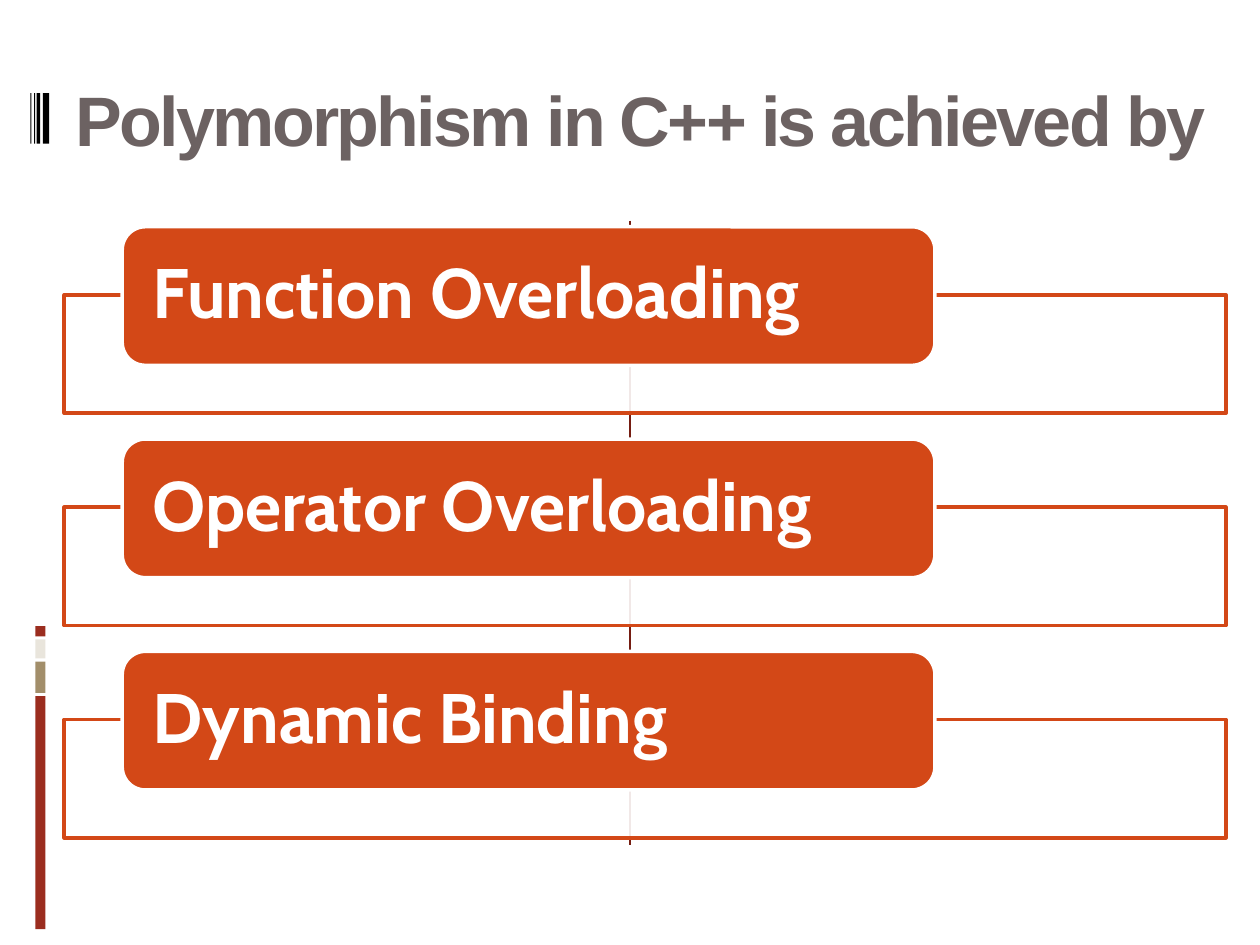
from dataclasses import dataclass

from lxml import etree
from pptx import Presentation
from pptx.dml.color import RGBColor
from pptx.enum.shapes import MSO_CONNECTOR, MSO_SHAPE
from pptx.enum.text import MSO_ANCHOR, PP_ALIGN
from pptx.oxml.ns import qn
from pptx.util import Inches, Length, Pt

RECTANGLE = MSO_SHAPE.RECTANGLE
ROUNDED = MSO_SHAPE.ROUNDED_RECTANGLE
STRAIGHT = MSO_CONNECTOR.STRAIGHT
MIDDLE = MSO_ANCHOR.MIDDLE
LEFT = PP_ALIGN.LEFT

# The slide is a grid of 100 columns by 75 rows with square cells
CELL = Inches(0.1)
COLUMNS, ROWS = 100, 75


@dataclass(frozen=True)
class Theme:
    title: str = "6C6262"
    accent: str = "D34817"
    white: str = "FFFFFF"
    black: str = "000000"
    red: str = "9B2D1F"
    tan: str = "A28E6A"
    cream: str = "E9E5DC"
    divider: str = "751D12"
    title_font: str = "Arial"
    label_font: str = "Cabin"
    text_size: int = 40
    border: float = 2
    hairline: float = 0.75


@dataclass(frozen=True)
class Box:
    """A place on the grid, in columns and rows."""
    left: float
    top: float
    width: float
    height: float


@dataclass(frozen=True)
class Segment:
    height: float
    color: str


@dataclass(frozen=True)
class Stripe:
    left: float
    width: float


THEME = Theme()
TITLE = "Polymorphism in C++ is achieved by"
TITLE_BOX = Box(5, 2.3, 93, 14.2)
LABELS = ["Function Overloading", "Operator Overloading", "Dynamic Binding"]
FIRST_LABEL = Box(9.7, 18, 64.5, 11)
FIRST_FRAME = Box(5.1, 23.4, 92.2, 9.4)
LABEL_PITCH = 16.85
LABEL_INSET = 1.87
SEGMENTS = [Segment(0.8, THEME.red), Segment(1.5, THEME.cream),
            Segment(2.5, THEME.tan), Segment(18.5, THEME.red)]
SEGMENT_TOP, SEGMENT_GAP = 49.7, 0.25
STRIPES = [Stripe(2.4, 0.1), Stripe(2.7, 0.1), Stripe(2.9, 0.3), Stripe(3.4, 0.5)]


def cells(count: float) -> Length:
    return Length(round(count * CELL))


def place(box: Box) -> tuple[Length, Length, Length, Length]:
    return cells(box.left), cells(box.top), cells(box.width), cells(box.height)


def rgb(color: str) -> RGBColor:
    return RGBColor.from_string(color)


def draw_shape(slide, kind, box: Box, fill: str, line: str | None = None):
    shape = slide.shapes.add_shape(kind, *place(box))
    shape.shadow.inherit = False
    shape.fill.solid()
    shape.fill.fore_color.rgb = rgb(fill)
    if line:
        shape.line.color.rgb = rgb(line)
        shape.line.width = Pt(THEME.border)
    else:
        shape.line.fill.background()
    return shape


def write_text(shape, text: str, font: str, color: str):
    frame = shape.text_frame
    frame.word_wrap = True
    frame.vertical_anchor = MIDDLE
    paragraph = frame.paragraphs[0]
    paragraph.text = text
    paragraph.alignment = LEFT
    paragraph.font.name = font
    paragraph.font.size = Pt(THEME.text_size)
    paragraph.font.bold = True
    paragraph.font.color.rgb = rgb(color)
    return paragraph


def draw_side_bar(slide) -> None:
    top = SEGMENT_TOP
    for segment in SEGMENTS:
        draw_shape(slide, RECTANGLE, Box(2.8, top, 0.8, segment.height), segment.color)
        top += segment.height + SEGMENT_GAP


def draw_stripes(slide) -> None:
    for stripe in STRIPES:
        draw_shape(slide, RECTANGLE, Box(stripe.left, 7.4, stripe.width, 4), THEME.black)


def draw_divider(slide) -> None:
    middle = cells(COLUMNS / 2)
    line = slide.shapes.add_connector(STRAIGHT, middle, cells(17.5), middle, cells(67.1))
    line.line.color.rgb = rgb(THEME.divider)
    line.line.width = Pt(THEME.hairline)
    etree.SubElement(line._element.spPr, qn("a:effectLst"))


def draw_title(slide) -> None:
    title = slide.shapes.add_textbox(*place(TITLE_BOX))
    paragraph = write_text(title, TITLE, THEME.title_font, THEME.title)
    paragraph.runs[0]._r.get_or_add_rPr().set("spc", "-150")


def draw_item(slide, text: str, row: int) -> None:
    offset = row * LABEL_PITCH
    frame_box = Box(FIRST_FRAME.left, FIRST_FRAME.top + offset,
                    FIRST_FRAME.width, FIRST_FRAME.height)
    label_box = Box(FIRST_LABEL.left, FIRST_LABEL.top + offset,
                    FIRST_LABEL.width, FIRST_LABEL.height)

    # Nearly opaque frame lets the divider show faintly
    frame = draw_shape(slide, RECTANGLE, frame_box, THEME.white, THEME.accent)
    fill_color = frame._element.spPr.find(qn("a:solidFill"))[0]
    etree.SubElement(fill_color, qn("a:alpha"), val="90000")

    label = draw_shape(slide, ROUNDED, label_box, THEME.accent, THEME.white)
    paragraph = write_text(label, text, THEME.label_font, THEME.white)
    paragraph.line_spacing = 0.9
    text_frame = label.text_frame
    text_frame.margin_left = text_frame.margin_right = cells(LABEL_INSET)
    text_frame.margin_top = text_frame.margin_bottom = 0


def main() -> None:
    presentation = Presentation()
    presentation.slide_width = cells(COLUMNS)
    presentation.slide_height = cells(ROWS)
    slide = presentation.slides.add_slide(presentation.slide_layouts[6])

    # Decoration
    draw_side_bar(slide)
    draw_stripes(slide)
    draw_divider(slide)

    # Content
    draw_title(slide)
    for row, text in enumerate(LABELS):
        draw_item(slide, text, row)

    presentation.save("out.pptx")


if __name__ == "__main__":
    main()
